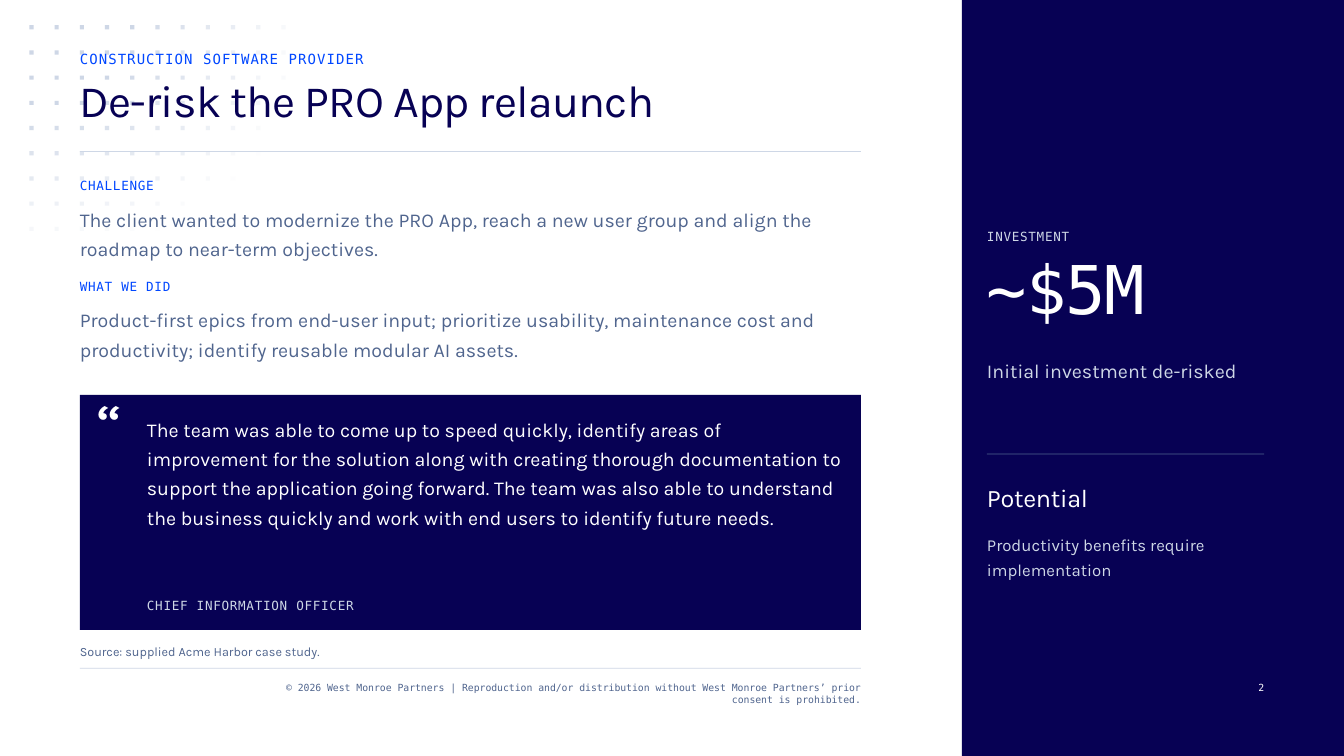
from itertools import product
from math import hypot

from lxml import etree
from pptx import Presentation
from pptx.dml.color import RGBColor
from pptx.enum.shapes import MSO_SHAPE
from pptx.enum.text import MSO_ANCHOR, MSO_AUTO_SIZE, PP_ALIGN
from pptx.oxml.ns import qn
from pptx.util import Inches, Pt

RECTANGLE = MSO_SHAPE.RECTANGLE
TOP = MSO_ANCHOR.TOP
NO_FIT = MSO_AUTO_SIZE.NONE
LEFT, RIGHT = PP_ALIGN.LEFT, PP_ALIGN.RIGHT

COLUMNS, ROWS = 160, 90
CELL = Inches(13.333) / COLUMNS
RULE = 0.1

NAVY, BLUE, SLATE, MIST, WHITE = "070154", "0047FF", "50658E", "CED7E6", "FFFFFF"
SANS, MONO = "Karla", "DejaVu Sans Mono"

STYLES = {
    "eyebrow": dict(name=MONO, size=10, line=12, spacing=0.8),
    "title": dict(name=SANS, size=32, line=36, spacing=-0.6),
    "label": dict(name=MONO, size=9, line=12, spacing=0.5),
    "body": dict(name=SANS, size=14, line=21, spacing=0),
    "quote mark": dict(name=SANS, size=48, line=36, spacing=-0.7),
    "figure": dict(name=MONO, size=48, line=48, spacing=-1),
    "heading": dict(name=SANS, size=18, line=24, spacing=-0.2),
    "detail": dict(name=SANS, size=12, line=18, spacing=0),
    "source": dict(name=SANS, size=9, line=12, spacing=0),
    "footer": dict(name=MONO, size=7, line=9, spacing=0),
}


def rgb(color):
    return RGBColor.from_string(color)


def lengths(box):
    return [round(cells * CELL) for cells in box]


def fill_box(slide, box, color, opacity=100):
    panel = slide.shapes.add_shape(RECTANGLE, *lengths(box))
    panel.shadow.inherit = False
    panel.fill.solid()
    panel.fill.fore_color.rgb = rgb(color)
    panel.line.fill.background()
    if opacity < 100:
        tint = panel.element.spPr.find(".//" + qn("a:srgbClr"))
        etree.SubElement(tint, qn("a:alpha"), val=str(opacity * 1000))


def write(frame, words, style, color, align=LEFT):
    look = STYLES[style]
    frame_format = dict(word_wrap=True, auto_size=NO_FIT, vertical_anchor=TOP,
                        margin_left=0, margin_top=0, margin_right=0, margin_bottom=0)
    for key, value in frame_format.items():
        setattr(frame, key, value)
    paragraph = frame.paragraphs[0]
    paragraph_format = dict(alignment=align, line_spacing=Pt(look["line"]),
                            space_before=Pt(0), space_after=Pt(0))
    for key, value in paragraph_format.items():
        setattr(paragraph, key, value)
    run = paragraph.add_run()
    run.text = words
    for key, value in dict(name=look["name"], size=Pt(look["size"])).items():
        setattr(run.font, key, value)
    run.font.color.rgb = rgb(color)
    if look["spacing"]:
        run._r.get_or_add_rPr().set("spc", str(round(look["spacing"] * 100)))


def add_text(slide, box, words, style, color, align=LEFT):
    frame = slide.shapes.add_textbox(*lengths(box)).text_frame
    write(frame, words, style, color, align)


def dot_field(slide, box):
    left, top, columns, rows = box
    pitch, dot = 3, 0.5
    for column, row in product(range(columns), range(rows)):
        opacity = round(153 * (1 - hypot(column / 11.08, row / 9.08)))
        if opacity >= 2:
            place = (left + column * pitch, top + row * pitch, dot, dot)
            fill_box(slide, place, MIST, min(opacity, 100))


def header(slide, box):
    left, top, width, height = box
    add_text(slide, (left, top, width, 2), "CONSTRUCTION SOFTWARE PROVIDER", "eyebrow", BLUE)
    title = slide.shapes.title
    title.element.getparent().append(title.element)
    place = lengths((left, top + 3, width, height - 3))
    for key, value in zip(("left", "top", "width", "height"), place):
        setattr(title, key, value)
    write(title.text_frame, "De-risk the PRO App relaunch", "title", NAVY)
    fill_box(slide, (left, top + height, width, RULE), MIST)


def story_section(slide, box, label, story):
    left, top, width, height = box
    add_text(slide, (left, top, width, 2), label, "label", BLUE)
    add_text(slide, (left, top + 3, width, height - 3), story, "body", SLATE)


def quote_panel(slide, box, quote, speaker):
    left, top, width, height = box
    fill_box(slide, box, NAVY)
    mark_left, text_left, inset = left + 2, left + 8, 2
    text_width = width - 8 - inset
    add_text(slide, (mark_left, top + inset, width - 2 * inset, 12), "“", "quote mark", WHITE)
    add_text(slide, (text_left, top + inset, text_width, 14), quote, "body", WHITE)
    add_text(slide, (text_left, top + height - 4, text_width, 2), speaker, "label", MIST)


def footer(slide, box):
    left, top, width, height = box
    add_text(slide, (left, top, width, 2), "Source: supplied Acme Harbor case study.", "source", SLATE)
    fill_box(slide, (left, top + 3, width, RULE), MIST)
    notice = ("© 2026 West Monroe Partners | Reproduction and/or distribution "
              "without West Monroe Partners’ prior consent is prohibited.")
    add_text(slide, (left + 19, top + 4.5, width - 19, height - 4.5), notice, "footer", SLATE, RIGHT)


def results_panel(slide, box):
    left, top, width, height = box
    fill_box(slide, box, NAVY)
    text_left, text_width = left + 3, 33
    for row, rows, words, style, color in (
        (27, 3, "INVESTMENT", "label", MIST),
        (31, 10, "~$5M", "figure", WHITE),
        (42, 9, "Initial investment de-risked", "body", MIST),
        (57, 5, "Potential", "heading", WHITE),
        (63, 9, "Productivity benefits require implementation", "detail", MIST),
    ):
        add_text(slide, (text_left, top + row, text_width, rows), words, style, color)
    fill_box(slide, (text_left, top + 54, text_width, RULE), SLATE)
    add_text(slide, (text_left + text_width - 4, top + 81, 4, 3), "2", "footer", WHITE, RIGHT)


def main():
    deck = Presentation()
    deck.slide_width, deck.slide_height = lengths((COLUMNS, ROWS))
    slide = deck.slides.add_slide(deck.slide_layouts[5])
    margin, measure, panel_left = 9.5, 93, 114.5

    dot_field(slide, (3.5, 3, 12, 9))
    header(slide, (margin, 6, measure, 12))
    sections = (
        ("CHALLENGE", "The client wanted to modernize the PRO App, reach a new user group "
                      "and align the roadmap to near-term objectives."),
        ("WHAT WE DID", "Product-first epics from end-user input; prioritize usability, maintenance "
                        "cost and productivity; identify reusable modular AI assets."),
    )
    for index, (label, story) in enumerate(sections):
        story_section(slide, (margin, 21 + index * 12, measure, 10), label, story)
    quote_panel(
        slide, (margin, 47, measure, 28),
        "The team was able to come up to speed quickly, identify areas of improvement for the "
        "solution along with creating thorough documentation to support the application going "
        "forward. The team was also able to understand the business quickly and work with end "
        "users to identify future needs.",
        "CHIEF INFORMATION OFFICER",
    )
    footer(slide, (margin, 76.5, measure, 7.5))
    results_panel(slide, (panel_left, 0, COLUMNS - panel_left, ROWS))
    deck.save("out.pptx")


if __name__ == "__main__":
    main()
